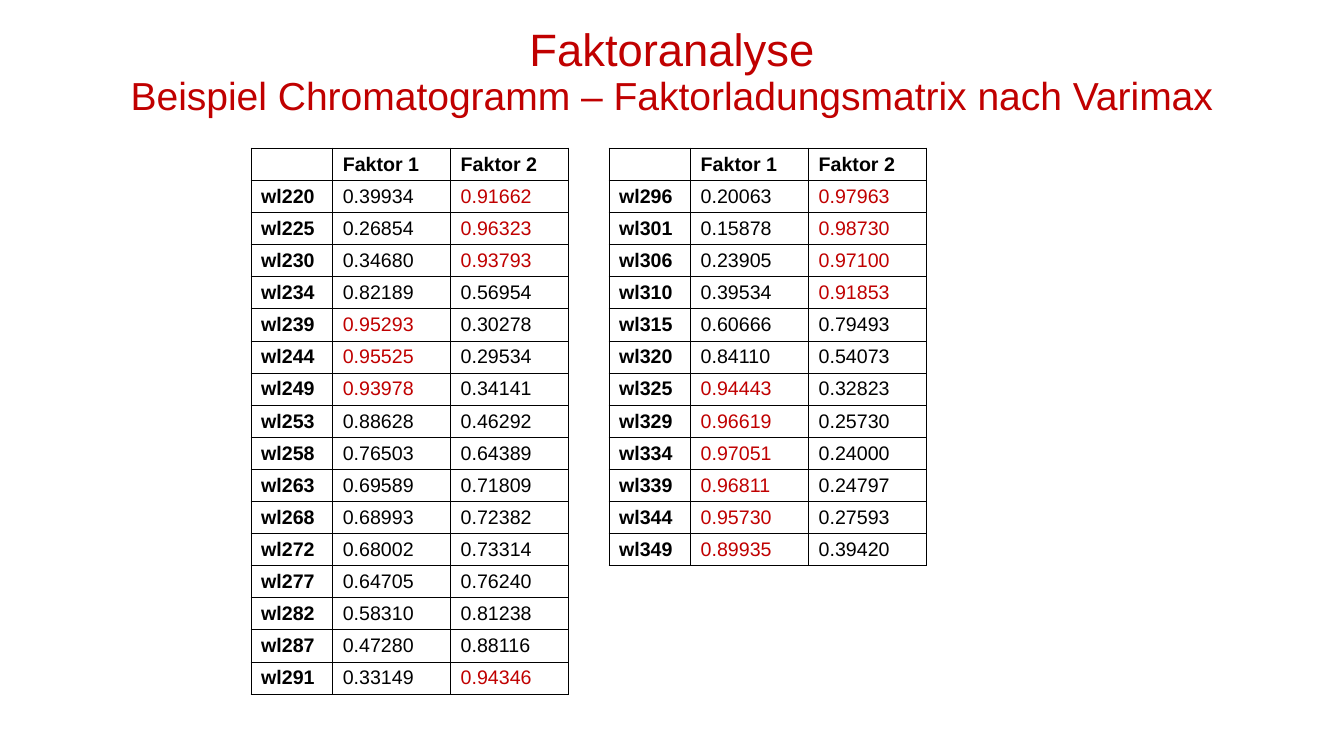
from dataclasses import dataclass

from lxml.etree import SubElement
from pptx import Presentation
from pptx.dml.color import RGBColor
from pptx.enum.text import MSO_ANCHOR as Anchor, PP_ALIGN as Align
from pptx.oxml.ns import qn
from pptx.slide import Slide
from pptx.table import _Cell as Cell
from pptx.text.text import Font
from pptx.util import Inches, Pt

SLIDE_WIDTH, SLIDE_HEIGHT = Inches(13.33), Inches(7.5)
FONT_NAME = "Arial"
BLACK, RED = "000000", "C00000"
HIGH_LOADING = 0.89
TABLE_TOP = Inches(1.47)
ROW_HEIGHT = Inches(5.42 / 17)
COLUMN_WIDTHS = [Inches(width) for width in (0.81, 1.17, 1.17)]
HEADER = ("", "Faktor 1", "Faktor 2")


@dataclass(frozen=True)
class LoadingTable:
    left: float  # share of the slide's width
    rows: tuple[tuple[str, str, str], ...]


LOADING_TABLES = (
    LoadingTable(2.49 / 13.33, (
        ("wl220", "0.39934", "0.91662"),
        ("wl225", "0.26854", "0.96323"),
        ("wl230", "0.34680", "0.93793"),
        ("wl234", "0.82189", "0.56954"),
        ("wl239", "0.95293", "0.30278"),
        ("wl244", "0.95525", "0.29534"),
        ("wl249", "0.93978", "0.34141"),
        ("wl253", "0.88628", "0.46292"),
        ("wl258", "0.76503", "0.64389"),
        ("wl263", "0.69589", "0.71809"),
        ("wl268", "0.68993", "0.72382"),
        ("wl272", "0.68002", "0.73314"),
        ("wl277", "0.64705", "0.76240"),
        ("wl282", "0.58310", "0.81238"),
        ("wl287", "0.47280", "0.88116"),
        ("wl291", "0.33149", "0.94346"),
    )),
    LoadingTable(6.04 / 13.33, (
        ("wl296", "0.20063", "0.97963"),
        ("wl301", "0.15878", "0.98730"),
        ("wl306", "0.23905", "0.97100"),
        ("wl310", "0.39534", "0.91853"),
        ("wl315", "0.60666", "0.79493"),
        ("wl320", "0.84110", "0.54073"),
        ("wl325", "0.94443", "0.32823"),
        ("wl329", "0.96619", "0.25730"),
        ("wl334", "0.97051", "0.24000"),
        ("wl339", "0.96811", "0.24797"),
        ("wl344", "0.95730", "0.27593"),
        ("wl349", "0.89935", "0.39420"),
    )),
)


def style_font(font: Font, size: float, color: str, bold: bool = False) -> None:
    font.name, font.size, font.bold = FONT_NAME, Pt(size), bold
    font.color.rgb = RGBColor.from_string(color)


def draw_borders(cell: Cell) -> None:
    properties = cell._tc.get_or_add_tcPr()
    for side in ("a:lnL", "a:lnR", "a:lnT", "a:lnB"):
        line = SubElement(properties, qn(side), w=str(Pt(0.75)))
        fill = SubElement(line, qn("a:solidFill"))
        SubElement(fill, qn("a:srgbClr"), val=BLACK)


def fill_cell(cell: Cell, text: str, is_label: bool) -> None:
    """Write a bold label or a loading, with high loadings in red."""
    draw_borders(cell)
    cell.fill.background()
    cell.vertical_anchor = Anchor.MIDDLE
    cell.margin_top = cell.margin_bottom = Inches(0.01)
    cell.text_frame.text = text
    is_high = not is_label and float(text) >= HIGH_LOADING
    for run in cell.text_frame.paragraphs[0].runs:
        style_font(run.font, 14, RED if is_high else BLACK, is_label)


def add_loading_table(slide: Slide, loadings: LoadingTable) -> None:
    rows = (HEADER, *loadings.rows)
    table = slide.shapes.add_table(
        len(rows), len(HEADER), round(loadings.left * SLIDE_WIDTH), TABLE_TOP,
        sum(COLUMN_WIDTHS), ROW_HEIGHT * len(rows)).table
    table.first_row = table.horz_banding = False
    for column, width in zip(table.columns, COLUMN_WIDTHS):
        column.width = width
    for row_index, row in enumerate(rows):
        table.rows[row_index].height = ROW_HEIGHT
        for column_index, text in enumerate(row):
            is_label = row_index == 0 or column_index == 0
            fill_cell(table.cell(row_index, column_index), text, is_label)


def add_title(slide: Slide) -> None:
    box = slide.shapes.add_textbox(Inches(1.08), Inches(0.26), Inches(11.17), Inches(0.93))
    frame = box.text_frame
    frame.word_wrap = True
    frame.vertical_anchor = Anchor.MIDDLE
    frame.text = "Faktoranalyse\vBeispiel Chromatogramm – Faktorladungsmatrix nach Varimax"
    paragraph = frame.paragraphs[0]
    paragraph.alignment = Align.CENTER
    paragraph.line_spacing = 0.9
    for run, size in zip(paragraph.runs, (32.4, 27.9)):
        style_font(run.font, size, RED)


def main() -> None:
    presentation = Presentation()
    presentation.slide_width, presentation.slide_height = SLIDE_WIDTH, SLIDE_HEIGHT
    slide = presentation.slides.add_slide(presentation.slide_layouts[6])
    add_title(slide)
    for loadings in LOADING_TABLES:
        add_loading_table(slide, loadings)
    presentation.save("out.pptx")


if __name__ == "__main__":
    main()
